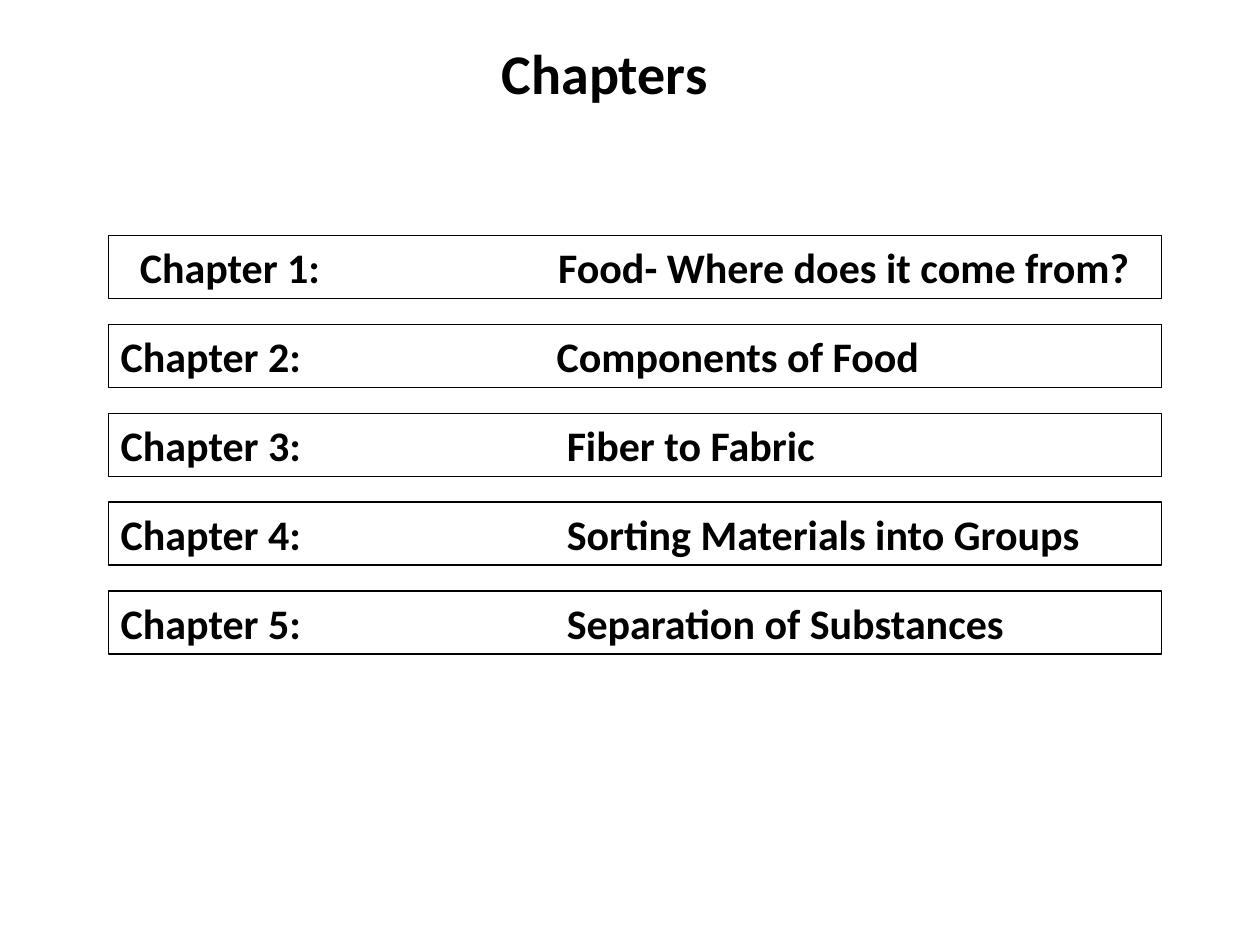
from lxml import etree
from pptx import Presentation
from pptx.dml.color import RGBColor
from pptx.enum.shapes import MSO_SHAPE
from pptx.enum.text import MSO_ANCHOR, MSO_AUTO_SIZE, PP_ALIGN
from pptx.oxml.ns import qn
from pptx.util import Inches, Pt

RECTANGLE = MSO_SHAPE.RECTANGLE
MIDDLE = MSO_ANCHOR.MIDDLE
LEFT, CENTER = PP_ALIGN.LEFT, PP_ALIGN.CENTER
FIT_SHAPE = MSO_AUTO_SIZE.SHAPE_TO_FIT_TEXT
FONT = "Calibri"
BLACK = "000000"

# Label, chapter name, and the offsets of both from the row's left edge
CHAPTERS = [
    ("Chapter 1:", "Food- Where does it come from?", 0.25, 3.57),
    ("Chapter 2:", "Components of Food", 0.1, 3.56),
    ("Chapter 3:", "Fiber to Fabric", 0.1, 3.64),
    ("Chapter 4:", "Sorting Materials into Groups", 0.1, 3.64),
    ("Chapter 5:", "Separation of Substances", 0.1, 3.64),
]


def color(hex_text):
    return RGBColor.from_string(hex_text)


def format_text(para, size, align):
    para.alignment = align
    for span in para.runs:
        span.font.name = FONT
        span.font.size = Pt(size)
        span.font.bold = True
        span.font.color.rgb = color(BLACK)


def add_tab_stop(para, position):
    tabs = etree.SubElement(para._p.get_or_add_pPr(), qn("a:tabLst"))
    etree.SubElement(tabs, qn("a:tab"), pos=str(position), algn="l")


def place_title(page, left, top, width, height):
    title = page.shapes.title
    title.left, title.top = Inches(left), Inches(top)
    title.width, title.height = Inches(width), Inches(height)
    frame = title.text_frame
    frame.text = "Chapters"
    frame.vertical_anchor = MIDDLE
    format_text(frame.paragraphs[0], 32, CENTER)


def add_chapter_row(page, chapter, left, top, width, height):
    label, name, label_offset, name_offset = chapter
    box = page.shapes.add_shape(
        RECTANGLE, Inches(left), Inches(top), Inches(width), Inches(height))
    box.shadow.inherit = False
    box.fill.background()
    box.line.color.rgb = color(BLACK)
    box.line.width = Pt(0.75)

    frame = box.text_frame
    frame.word_wrap = True
    frame.auto_size = FIT_SHAPE
    frame.margin_left = Inches(label_offset)
    para = frame.paragraphs[0]
    para.text = f"{label}\t{name}"
    format_text(para, 24, LEFT)
    add_tab_stop(para, Inches(name_offset - label_offset))


def add_chapter_list(page, left, top, width, row_height, pitch):
    for index, chapter in enumerate(CHAPTERS):
        add_chapter_row(page, chapter, left, top + index * pitch,
                        width, row_height)


def main():
    deck = Presentation()
    deck.slide_width, deck.slide_height = Inches(10), Inches(7.5)
    page = deck.slides.add_slide(deck.slide_layouts[0])

    # Title, without the layout's subtitle
    subtitle = page.placeholders[1].element
    subtitle.getparent().remove(subtitle)
    place_title(page, 0.55, -0.23, 8.5, 1.61)

    # Chapter rows
    add_chapter_list(page, 0.86, 1.87, 8.36, row_height=0.5, pitch=0.705)

    deck.save("out.pptx")


if __name__ == "__main__":
    main()
